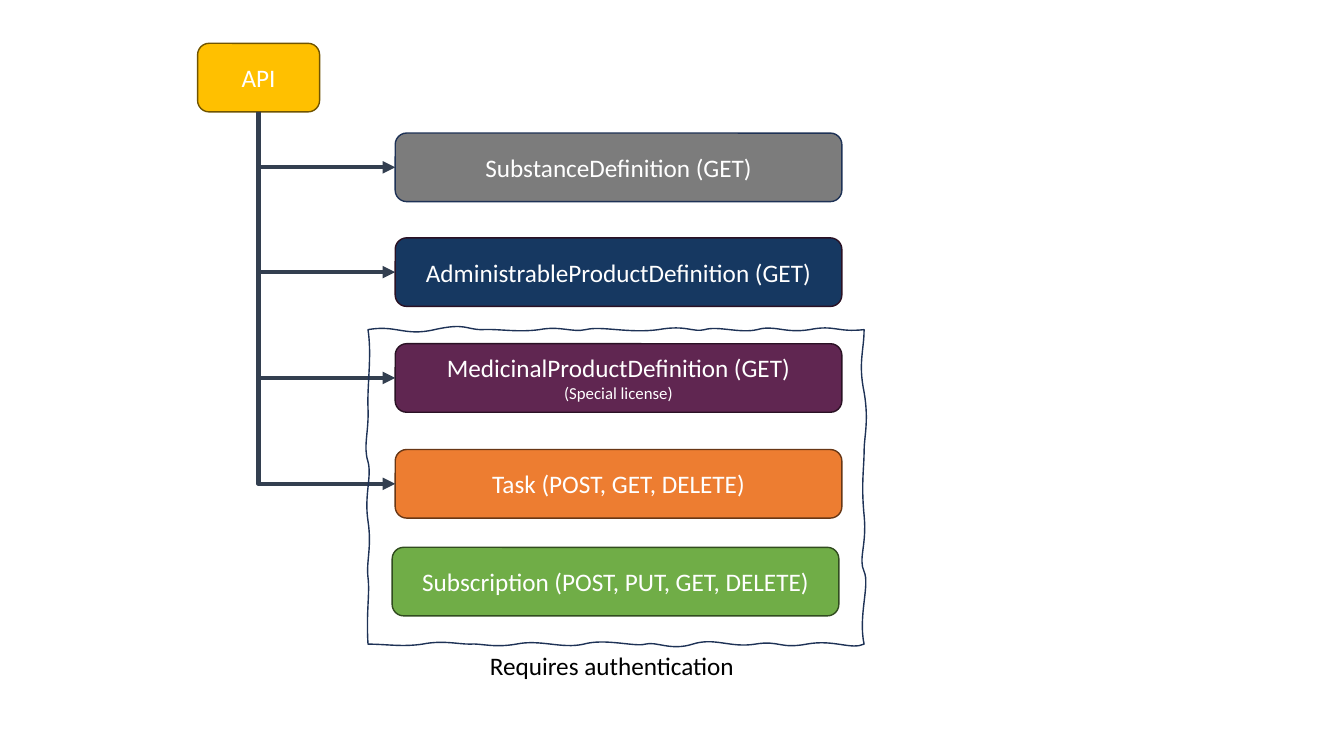
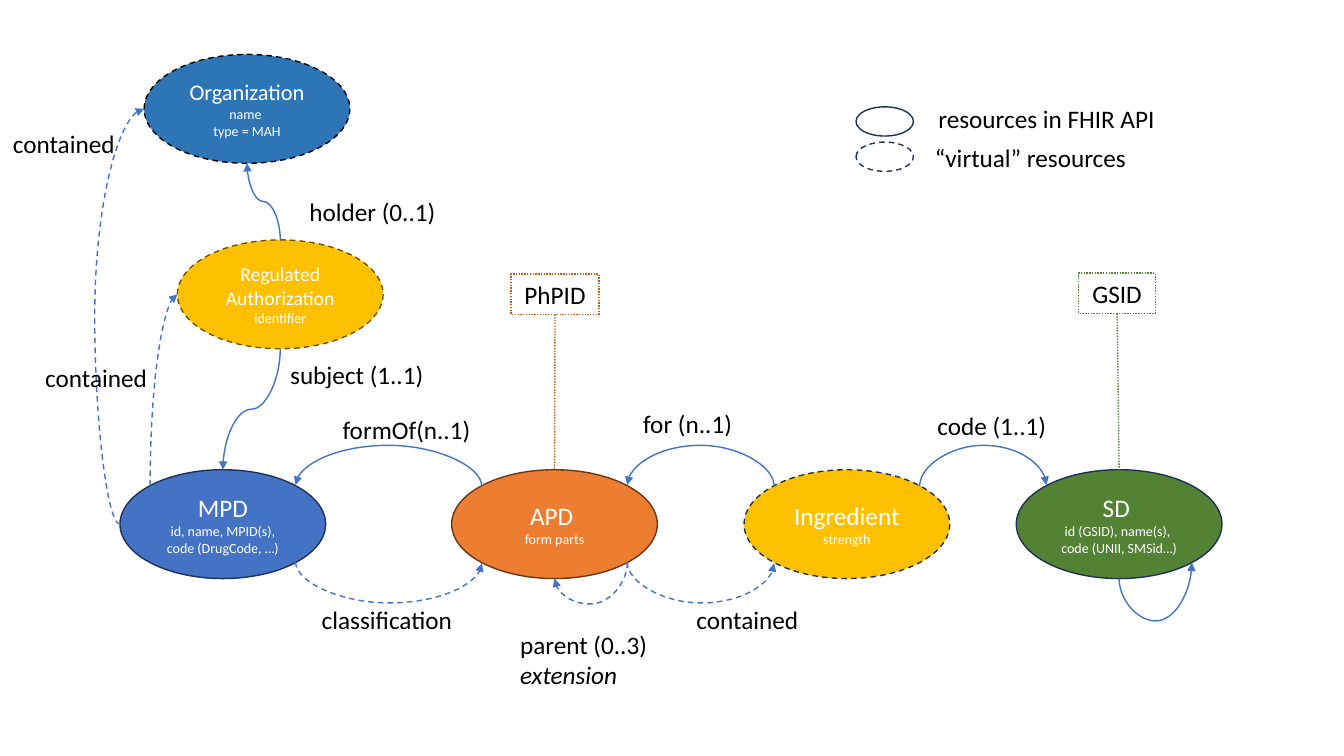
from math import copysign, sqrt

from lxml.etree import SubElement
from pptx import Presentation
from pptx.dml.color import RGBColor
from pptx.enum.dml import MSO_LINE as DASHES
from pptx.enum.shapes import MSO_CONNECTOR as CONNECTORS
from pptx.enum.shapes import MSO_SHAPE as SHAPES
from pptx.enum.text import MSO_ANCHOR as ANCHORS
from pptx.enum.text import MSO_AUTO_SIZE as AUTO_SIZES
from pptx.enum.text import PP_ALIGN as ALIGNMENTS
from pptx.oxml.ns import qn
from pptx.util import Pt

PX = 9144
FONT = "Calibri"
WHITE, BLACK = "FFFFFF", "000000"
NAVY, BLUE, SLATE = "1E3256", "4472C4", "333F50"
ORANGE, BROWN, RUST = "ED7D31", "683715", "C55A11"
GOLD, DARK_GOLD, GREEN = "FFC000", "705400", "548235"
PLUM_EDGE = "2A1124"
MIN_SPAN = 12700

SITES = {
    "top": (0, -1), "top_left": (-1, -1), "left": (-1, 0), "bottom_left": (-1, 1),
    "bottom": (0, 1), "bottom_right": (1, 1), "right": (1, 0), "top_right": (1, -1),
}
SITE_ORDER = list(SITES)

FRAME_START = (365, 327)
FRAME_CURVES = [
    (393, 322, 401, 334, 431, 327), (462, 320, 462, 327, 478, 327),
    (494, 326, 513, 330, 535, 327), (556, 323, 567, 330, 581, 327),
    (596, 323, 624, 331, 653, 327), (681, 322, 687, 330, 699, 327),
    (712, 323, 734, 331, 751, 327), (768, 322, 778, 331, 803, 327),
    (828, 322, 830, 330, 857, 327), (857, 347, 851, 360, 857, 389),
    (862, 418, 857, 433, 857, 448), (857, 464, 854, 480, 857, 511),
    (860, 541, 851, 554, 857, 567), (863, 580, 851, 611, 857, 639),
    (844, 645, 827, 634, 800, 639), (773, 644, 773, 635, 749, 639),
    (724, 643, 709, 632, 687, 639), (665, 646, 651, 636, 640, 639),
    (630, 642, 600, 633, 579, 639), (557, 644, 536, 634, 512, 639),
    (489, 643, 477, 638, 466, 639), (454, 639, 439, 635, 419, 639),
    (399, 642, 383, 639, 365, 639), (363, 607, 367, 589, 365, 573),
    (363, 557, 369, 543, 365, 517), (361, 491, 369, 473, 365, 458),
    (360, 443, 366, 428, 365, 405), (364, 382, 369, 353, 365, 327),
]


def rgb(value):
    return RGBColor.from_string(value)


def set_line(line, color, width=1, dash=None):
    line.color.rgb = rgb(color)
    line.width = Pt(width)
    if dash is not None:
        line.dash_style = dash


def add_paragraph(frame, text, size=18, color=BLACK, align=ALIGNMENTS.LEFT, italic=False):
    first = frame.paragraphs[0]
    paragraph = frame.add_paragraph() if first.runs else first
    paragraph.alignment = align
    run = paragraph.add_run()
    run.text = text
    run.font.name = FONT
    run.font.size = Pt(size)
    run.font.italic = italic
    run.font.color.rgb = rgb(color)


def add_node(slide, kind, box, fill, edge, lines=(), dash=None, color=WHITE):
    shape = slide.shapes.add_shape(kind, *(value * PX for value in box))
    shape.shadow.inherit = False
    if fill:
        shape.fill.solid()
        shape.fill.fore_color.rgb = rgb(fill)
    else:
        shape.fill.background()
    set_line(shape.line, edge, dash=dash)
    frame = shape.text_frame
    frame.word_wrap = True
    frame.vertical_anchor = ANCHORS.MIDDLE
    for text, size in lines:
        add_paragraph(frame, text, size=size, color=color, align=ALIGNMENTS.CENTER)
    return shape


def add_label(slide, left, top, width, text, align=ALIGNMENTS.LEFT, height=40):
    box = slide.shapes.add_textbox(left * PX, top * PX, width * PX, height * PX)
    frame = box.text_frame
    frame.word_wrap = False
    frame.auto_size = AUTO_SIZES.SHAPE_TO_FIT_TEXT
    add_paragraph(frame, text, align=align)
    return frame


def site_point(shape, site):
    across, down = SITES[site]
    reach = 1 / sqrt(2) if across and down else 1
    return (round(shape.left + shape.width * (1 + across * reach) / 2),
            round(shape.top + shape.height * (1 + down * reach) / 2))


def glue(connector, tag, shape, site):
    index = SITE_ORDER.index(site)
    if shape.auto_shape_type != SHAPES.OVAL:
        index //= 2
    properties = connector._element.nvCxnSpPr.cNvCxnSpPr
    SubElement(properties, qn(tag), id=str(shape.shape_id), idx=str(index))


def connect(slide, preset, begin, end, color=BLUE, width=1, dash=None, bulge=None):
    straight = preset == "line"
    vertical = not straight and begin[1] != "left"
    (begin_x, begin_y), (end_x, end_y) = site_point(*begin), site_point(*end)
    along, across = end_x - begin_x, end_y - begin_y
    if vertical:
        along, across = across, along
    if bulge and abs(along) < MIN_SPAN:
        along = round(copysign(MIN_SPAN, bulge))
    flip_h, flip_v = along < 0, (across > 0) if vertical else (across < 0)
    rotation = 90 if vertical else 0
    if not straight and flip_h != flip_v:
        rotation, flip_h, flip_v = rotation + 180, flip_v, flip_h

    left = (begin_x + end_x - abs(along)) // 2
    top = (begin_y + end_y - abs(across)) // 2
    kind = CONNECTORS.STRAIGHT if straight else CONNECTORS.CURVE
    connector = slide.shapes.add_connector(
        kind, left, top, left + abs(along), top + abs(across))
    glue(connector, "a:stCxn", *begin)
    glue(connector, "a:endCxn", *end)
    properties = connector._element.spPr
    transform = properties.find(qn("a:xfrm"))
    for name, value in (("rot", rotation * 60000), ("flipH", flip_h), ("flipV", flip_v)):
        if value:
            transform.set(name, str(int(value)))
    geometry = properties.find(qn("a:prstGeom"))
    geometry.set("prst", preset)
    if bulge:
        ratio = round(bulge * PX / along * 100000)
        SubElement(geometry.find(qn("a:avLst")), qn("a:gd"), name="adj1", fmla=f"val {ratio}")
    set_line(connector.line, color, width, dash)
    if not straight:
        SubElement(properties.find(qn("a:ln")), qn("a:tailEnd"), type="triangle")
    SubElement(properties, qn("a:effectLst"))


def add_curved_outline(slide, start, curves, edge):
    builder = slide.shapes.build_freeform(*start, scale=PX)
    builder.add_line_segments([curve[4:] for curve in curves], close=True)
    shape = builder.convert_to_shape()
    shape.shadow.inherit = False
    shape.fill.background()
    set_line(shape.line, edge)
    left, top = shape.left // PX, shape.top // PX
    segments = list(shape._element.iter(qn("a:lnTo")))
    for segment, curve in zip(segments, curves):
        segment.clear()
        segment.tag = qn("a:cubicBezTo")
        for x, y in zip(curve[::2], curve[1::2]):
            SubElement(segment, qn("a:pt"), x=str(x - left), y=str(y - top))


def build_endpoints(slide):
    def add_box(left, top, width, fill, edge, *lines):
        return add_node(slide, SHAPES.ROUNDED_RECTANGLE, (left, top, width, 68), fill, edge, lines)

    api = add_box(196, 43, 121, GOLD, DARK_GOLD, ("API", 18))
    endpoints = [
        ("7C7C7C", NAVY, ("SubstanceDefinition (GET)", 18)),
        ("163861", PLUM_EDGE, ("AdministrableProductDefinition (GET)", 18)),
        ("602651", PLUM_EDGE, ("MedicinalProductDefinition (GET)", 18), ("(Special license)", 12)),
        (ORANGE, BROWN, ("Task (POST, GET, DELETE)", 18)),
    ]
    for row, endpoint in enumerate(endpoints):
        box = add_box(392, 132 + 314 * row // 3, 443, *endpoint)
        connect(slide, "bentConnector2", (api, "bottom"), (box, "left"), color=SLATE, width=3)
    add_curved_outline(slide, FRAME_START, FRAME_CURVES, NAVY)
    add_label(slide, 476, 640, 308, "Requires authentication")
    add_box(389, 543, 443, "70AD47", "314C1F", ("Subscription (POST, PUT, GET, DELETE)", 18))


def build_resources(slide):
    dash, dots = DASHES.DASH, DASHES.ROUND_DOT

    def add_resource(left, top, fill, edge, *lines, dash=None):
        return add_node(slide, SHAPES.OVAL, (left, top, 204, 108), fill, edge, lines, dash)

    mpd = add_resource(119, 466, BLUE, NAVY, ("MPD", 18),
                       ("id, name, MPID(s), code (DrugCode, …)", 10))
    apd = add_resource(448, 466, ORANGE, BROWN, ("APD ", 18), ("form parts", 10))
    substance = add_resource(1008, 466, GREEN, NAVY, ("SD ", 18),
                             ("id (GSID), name(s), ", 10), ("code (UNII, SMSid…)", 10))
    ingredient = add_resource(738, 466, GOLD, NAVY, ("Ingredient", 18), ("strength", 10), dash=dash)
    organization = add_resource(143, 54, "2E75B6", BLACK, ("Organization", 16),
                                ("name ", 10), ("type = MAH", 10), dash=dash)
    authorization = add_resource(176, 238, GOLD, DARK_GOLD, ("Regulated", 14),
                                 ("Authorization", 14), ("identifier", 10), dash=dash)

    for begin, end, bulge, style in [
        ((mpd, "bottom_right"), (apd, "bottom_left"), 41, dash),
        ((apd, "bottom_right"), (ingredient, "bottom_left"), 41, dash),
        ((apd, "bottom_right"), (apd, "bottom"), 41, dash),
        ((substance, "bottom"), (substance, "bottom_right"), 42, None),
        ((apd, "top_left"), (mpd, "top_right"), -41, None),
        ((ingredient, "top_left"), (apd, "top_right"), -41, None),
        ((ingredient, "top_right"), (substance, "top_left"), -41, None),
        ((authorization, "bottom"), (mpd, "top"), None, None),
        ((authorization, "top"), (organization, "bottom"), None, None),
        ((mpd, "left"), (organization, "left"), -25, dash),
    ]:
        connect(slide, "curvedConnector3", begin, end, dash=style, bulge=bulge)
    connect(slide, "curvedConnector2", (mpd, "top_left"), (authorization, "left"), dash=dash)

    for left, top, width, text, color, resource in [
        (507, 272, 87, "PhPID", RUST, apd),
        (1070, 271, 76, "GSID", GREEN, substance),
    ]:
        tag = add_node(slide, SHAPES.RECTANGLE, (left, top, width, 40), None, color,
                       [(text, 18)], dots, BLACK)
        tag.text_frame.word_wrap = False
        connect(slide, "line", (tag, "bottom"), (resource, "top"), color=color, dash=dots)

    for top, style in ((106, None), (141, dash)):
        add_node(slide, SHAPES.OVAL, (849, top, 57, 29), None, NAVY, dash=style)

    for left, top, width, text in [
        (330, 406, 154, "formOf(n..1)"),
        (628, 400, 111, "for (n..1)"),
        (920, 402, 136, "code (1..1)"),
        (681, 595, 130, "contained"),
        (35, 355, 130, "contained"),
        (3, 122, 130, "contained"),
        (278, 352, 154, "subject (1..1)"),
        (297, 190, 149, "holder (0..1)"),
    ]:
        add_label(slide, left, top, width, text)
    for left, top, width, text in [
        (301, 595, 171, "classification "),
        (908, 98, 260, "resources in FHIR API"),
        (906, 136, 232, "“virtual” resources"),
    ]:
        add_label(slide, left, top, width, text, align=ALIGNMENTS.CENTER)
    parent = add_label(slide, 506, 619, 153, "parent (0..3)", height=71)
    add_paragraph(parent, "extension", italic=True)


def main():
    presentation = Presentation()
    presentation.slide_width, presentation.slide_height = 1333 * PX, 750 * PX
    blank = presentation.slide_layouts[6]
    for build in (build_endpoints, build_resources):
        build(presentation.slides.add_slide(blank))
    presentation.save("out.pptx")


if __name__ == "__main__":
    main()
